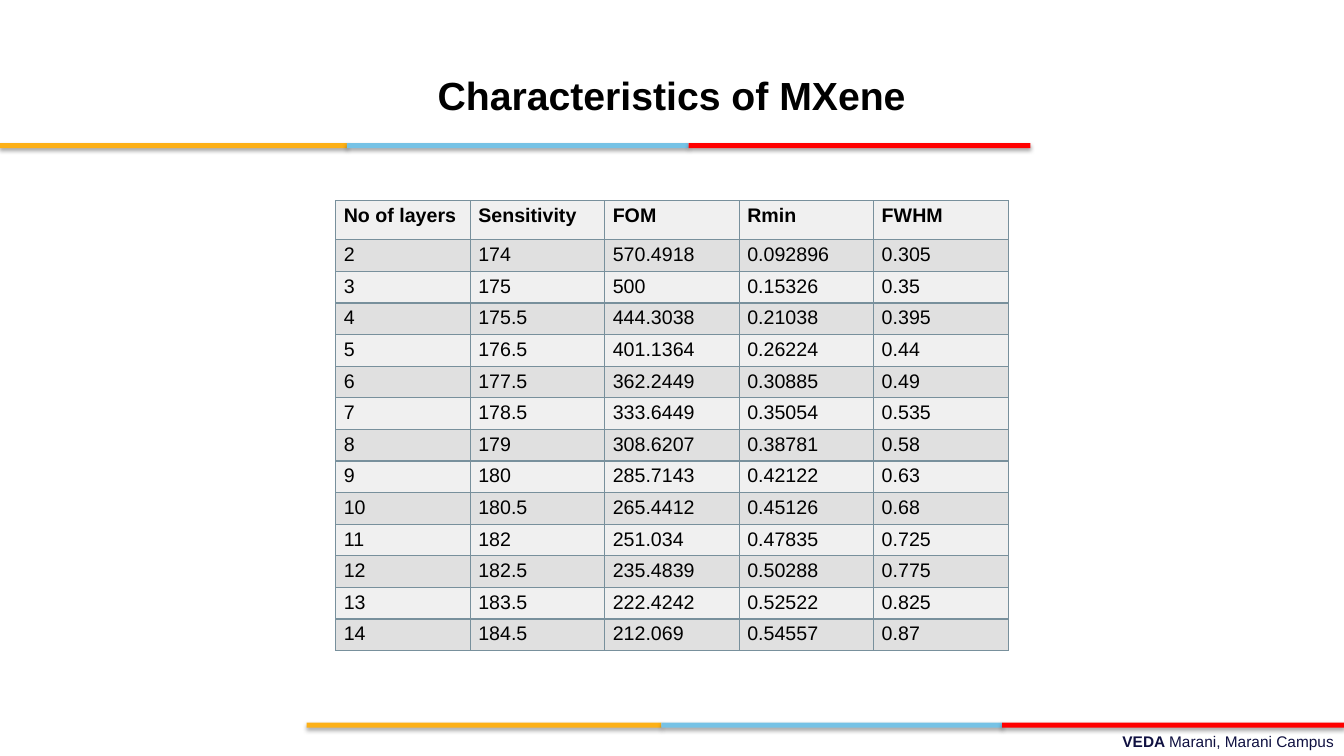
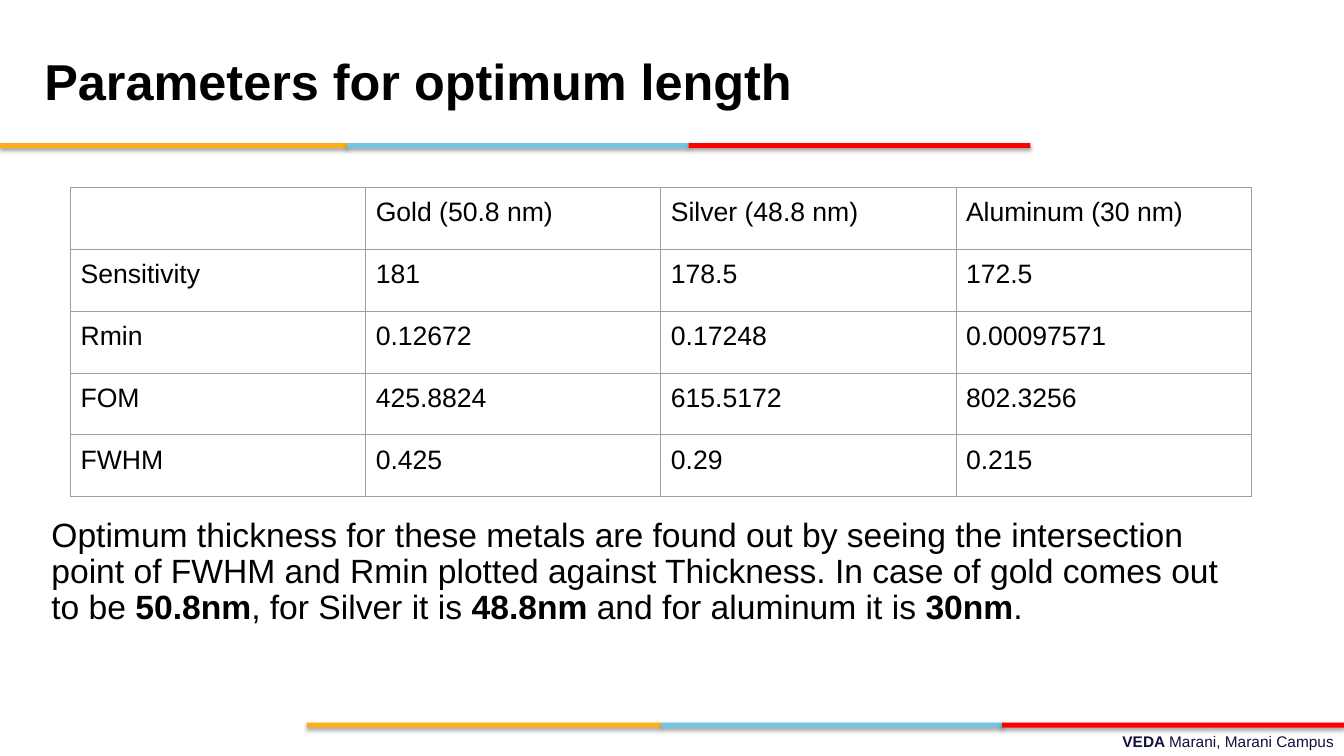
from pptx import Presentation
from pptx.dml.color import RGBColor
from pptx.enum.shapes import MSO_SHAPE
from pptx.enum.text import MSO_ANCHOR, PP_ALIGN
from pptx.oxml import parse_xml
from pptx.oxml.ns import nsdecls
from pptx.util import Inches, Pt

FONT = "Arial"
BLACK = RGBColor(0x00, 0x00, 0x00)
NAVY = RGBColor(0x10, 0x11, 0x41)
GOLD = RGBColor(0xFC, 0xB0, 0x17)
SKY = RGBColor(0x76, 0xC2, 0xE5)
RED = RGBColor(0xFF, 0x00, 0x00)
SLATE = RGBColor(0x78, 0x90, 0x9C)
GREY = RGBColor(0x9E, 0x9E, 0x9E)
LIGHT_ROW = RGBColor(0xF0, 0xF0, 0xF0)
DARK_ROW = RGBColor(0xE0, 0xE0, 0xE0)

BAND_COLORS = (GOLD, SKY, RED)
BAND_HEIGHT = 0.05
# Top of each band, then the edges of its three colours
BANDS = (
    (1.42, (0, 3.44, 6.83, 10.22)),
    (7.17, (3.04, 6.56, 9.94, 13.33)),
)

# Runs are (text, bold)
FOOTER = [("VEDA ", True), ("Marani, Marani Campus", False)]

LAYERS_TITLE = "Characteristics of MXene"
LAYERS_ROWS = [
    ("No of layers", "Sensitivity", "FOM", "Rmin", "FWHM"),
    ("2", "174", "570.4918", "0.092896", "0.305"),
    ("3", "175", "500", "0.15326", "0.35"),
    ("4", "175.5", "444.3038", "0.21038", "0.395"),
    ("5", "176.5", "401.1364", "0.26224", "0.44"),
    ("6", "177.5", "362.2449", "0.30885", "0.49"),
    ("7", "178.5", "333.6449", "0.35054", "0.535"),
    ("8", "179", "308.6207", "0.38781", "0.58"),
    ("9", "180", "285.7143", "0.42122", "0.63"),
    ("10", "180.5", "265.4412", "0.45126", "0.68"),
    ("11", "182", "251.034", "0.47835", "0.725"),
    ("12", "182.5", "235.4839", "0.50288", "0.775"),
    ("13", "183.5", "222.4242", "0.52522", "0.825"),
    ("14", "184.5", "212.069", "0.54557", "0.87"),
]

METALS_TITLE = "Parameters for optimum length"
METALS_ROWS = [
    ("", "Gold (50.8 nm)", "Silver (48.8 nm)", "Aluminum (30 nm)"),
    ("Sensitivity", "181", "178.5", "172.5"),
    ("Rmin", "0.12672", "0.17248", "0.00097571"),
    ("FOM", "425.8824", "615.5172", "802.3256"),
    ("FWHM", "0.425", "0.29", "0.215"),
]
METALS_NOTE = [
    ("Optimum thickness for these metals are found out by seeing the "
     "intersection point of FWHM and Rmin plotted against Thickness. "
     "In case of gold comes out to be ", False),
    ("50.8nm", True),
    (", for Silver it is ", False),
    ("48.8nm", True),
    (" and for aluminum it is ", False),
    ("30nm", True),
    (".", False),
]


def style_font(font, size, color=BLACK):
    font.name = FONT
    font.size = Pt(size)
    font.color.rgb = color


def set_margins(target, horizontal, vertical):
    target.margin_left = target.margin_right = Inches(horizontal)
    target.margin_top = target.margin_bottom = Inches(vertical)


def add_text(slide, place, runs, size, color=BLACK, align=PP_ALIGN.LEFT,
             anchor=MSO_ANCHOR.TOP, margins=(0.07, 0.04)):
    """Add a one-paragraph text box and return the paragraph."""
    frame = slide.shapes.add_textbox(*map(Inches, place)).text_frame
    frame.word_wrap = True
    frame.vertical_anchor = anchor
    set_margins(frame, *margins)
    para = frame.paragraphs[0]
    para.alignment = align
    style_font(para.font, size, color)
    for text, bold in runs:
        span = para.add_run()
        span.text = text
        span.font.bold = bold
    return para


def add_shadow(shape):
    shape._element.spPr.append(parse_xml(
        f'<a:effectLst {nsdecls("a")}>'
        f'<a:outerShdw blurRad="{Pt(3.1)}" dist="{Pt(1.8)}" dir="5400000" '
        'rotWithShape="0"><a:srgbClr val="000000"><a:alpha val="35000"/>'
        '</a:srgbClr></a:outerShdw></a:effectLst>'))


def add_bands(slide):
    for top, edges in BANDS:
        for left, right, color in zip(edges, edges[1:], BAND_COLORS):
            bar = slide.shapes.add_shape(
                MSO_SHAPE.RECTANGLE, Inches(left), Inches(top),
                Inches(right - left), Inches(BAND_HEIGHT))
            bar.fill.solid()
            bar.fill.fore_color.rgb = color
            bar.line.fill.background()
            add_shadow(bar)


def add_page(deck):
    """Add a blank slide with the shared footer and colour bands."""
    slide = deck.slides.add_slide(deck.slide_layouts[6])
    add_text(slide, (4.78, 7.21, 8.55, 0.28), FOOTER, 11, NAVY,
             PP_ALIGN.RIGHT, margins=(0.1, 0.05))
    add_bands(slide)
    return slide


def add_title(slide, place, text, size, align=PP_ALIGN.LEFT,
              margins=(0, 0)):
    return add_text(slide, place, [(text, True)], size, align=align,
                    anchor=MSO_ANCHOR.MIDDLE, margins=margins)


def set_borders(cell, color, width):
    properties = cell._tc.get_or_add_tcPr()
    for side in "LRTB":
        properties.append(parse_xml(
            f'<a:ln{side} {nsdecls("a")} w="{Pt(width)}"><a:solidFill>'
            f'<a:srgbClr val="{color}"/></a:solidFill></a:ln{side}>'))


def add_grid(slide, place, rows, size, margins, border, row_fills=None,
             bold_header=False):
    """Add a table with equal columns; row_fills alternate down the rows."""
    table = slide.shapes.add_table(
        len(rows), len(rows[0]), *map(Inches, place)).table
    table.first_row = table.horz_banding = False
    for row_index, values in enumerate(rows):
        for column_index, value in enumerate(values):
            cell = table.cell(row_index, column_index)
            set_margins(cell, *margins)
            set_borders(cell, *border)
            if row_fills:
                cell.fill.solid()
                cell.fill.fore_color.rgb = row_fills[row_index % len(row_fills)]
            else:
                cell.fill.background()
            cell.text = value
            font = cell.text_frame.paragraphs[0].font
            style_font(font, size)
            font.bold = bold_header and row_index == 0
    return table


def build_layers_slide(deck):
    slide = add_page(deck)
    title = add_title(slide, (2.35, 0.42, 8.62, 1.09), LAYERS_TITLE, 28,
                      PP_ALIGN.CENTER, (0.07, 0.04))
    title.line_spacing = 0.9
    row_height = 0.3
    table = add_grid(
        slide, (3.33, 1.99, 6.67, row_height * len(LAYERS_ROWS)), LAYERS_ROWS,
        14, (0.08, 0.04), (SLATE, 1), (LIGHT_ROW, DARK_ROW), bold_header=True)
    table.rows[0].height = Inches(0.39)


def build_metals_slide(deck):
    slide = add_page(deck)
    add_title(slide, (0.44, 0.17, 9.22, 1.25), METALS_TITLE, 36)
    add_grid(slide, (0.7, 1.86, 11.71, 3.07), METALS_ROWS, 19, (0.1, 0.1),
             (GREY, 0.75))
    note = add_text(slide, (0.44, 5.1, 11.97, 1.9), METALS_NOTE, 24)
    note.line_spacing = 0.9
    note.space_before = Pt(8)
    note.space_after = Pt(12)


def main():
    deck = Presentation()
    deck.slide_width = Inches(13.33)
    deck.slide_height = Inches(7.5)
    build_layers_slide(deck)
    build_metals_slide(deck)
    deck.save("out.pptx")


if __name__ == "__main__":
    main()
